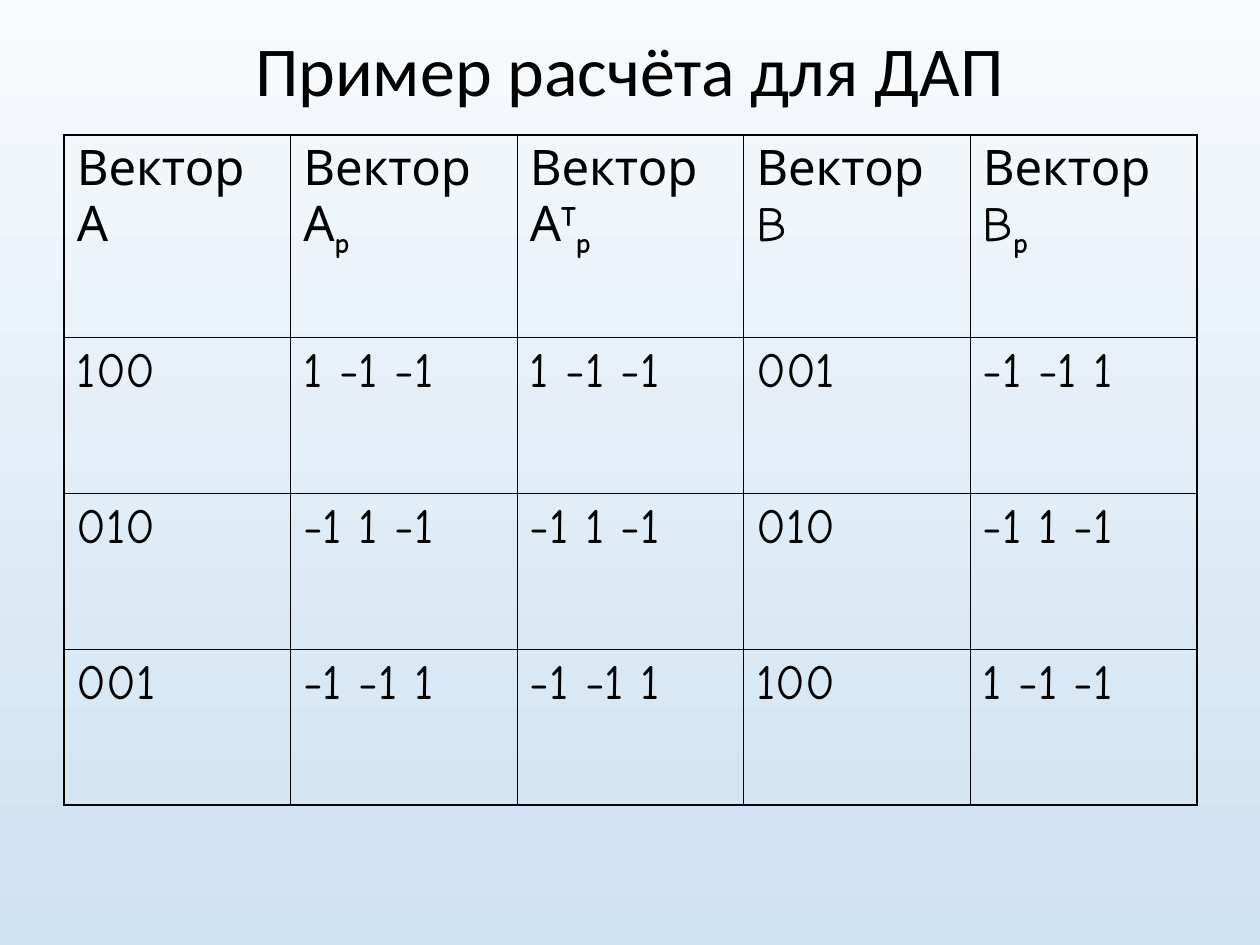
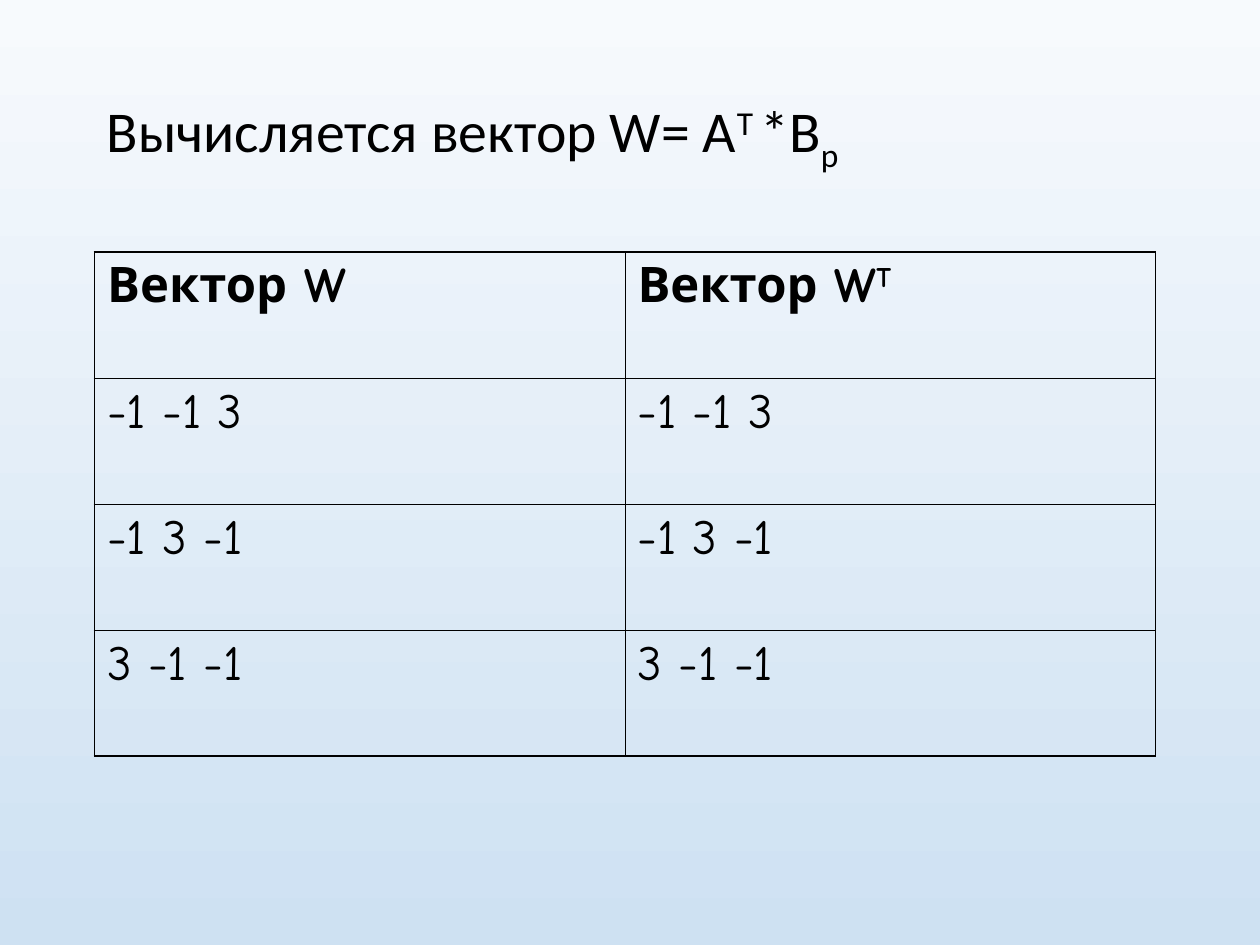
from collections import namedtuple

from lxml import etree
from pptx import Presentation
from pptx.dml.color import RGBColor
from pptx.enum.text import MSO_ANCHOR, PP_ALIGN
from pptx.oxml.ns import qn
from pptx.util import Inches, Pt

# Shared look
COLORS = {"text": "000000", "border": "000000", "sky_top": "F7FAFD", "sky_bottom": "CEE1F2"}
TITLE_FONT, TABLE_FONT = "Calibri", "Comic Neue"
TABLE_SIZE = 28
OUTER_LINE, INNER_LINE = 1.08, 0.45
SUPER, SUB = 30, -25

# Slide grid: 100 columns by 75 rows
SLIDE_WIDTH, SLIDE_HEIGHT = Inches(10), Inches(7.5)
COLUMN, ROW = SLIDE_WIDTH / 100, SLIDE_HEIGHT / 75

Box = namedtuple("Box", "left top width height")
Piece = namedtuple("Piece", "text baseline bold", defaults=(0, False))


def place(box):
    return (round(box.left * COLUMN), round(box.top * ROW),
            round(box.width * COLUMN), round(box.height * ROW))


def add_runs(paragraph, pieces, font_name, size):
    for piece in pieces:
        run = paragraph.add_run()
        run.text = piece.text
        run.font.name, run.font.size, run.font.bold = font_name, Pt(size), piece.bold
        run.font.color.rgb = RGBColor.from_string(COLORS["text"])
        if piece.baseline:
            run._r.get_or_add_rPr().set("baseline", str(piece.baseline * 1000))


def add_background(slide):
    fill = slide.background.fill
    fill.gradient()
    fill.gradient_angle = 270
    for stop, name in zip(fill.gradient_stops, ("sky_top", "sky_bottom")):
        stop.color.rgb = RGBColor.from_string(COLORS[name])


def add_title(slide, box, pieces, size, alignment):
    frame = slide.shapes.add_textbox(*place(box)).text_frame
    frame.word_wrap = True
    frame.vertical_anchor = MSO_ANCHOR.MIDDLE
    paragraph = frame.paragraphs[0]
    paragraph.alignment = alignment
    paragraph.line_spacing = 0.9
    add_runs(paragraph, pieces, TITLE_FONT, size)


def set_borders(cell, outer_sides):
    """Draw the four cell edges, thicker along the rim of the table."""
    properties = cell._tc.get_or_add_tcPr()
    for position, side in enumerate("LRTB"):
        width = OUTER_LINE if side in outer_sides else INNER_LINE
        line = etree.Element(qn(f"a:ln{side}"), w=str(Pt(width)))
        fill = etree.SubElement(line, qn("a:solidFill"))
        etree.SubElement(fill, qn("a:srgbClr"), val=COLORS["border"])
        properties.insert(position, line)


def add_vector_table(slide, box, headers, values, header_share=1):
    """Equal columns and value rows; the header row is header_share rows high."""
    rows = headers, *([[Piece(text)] for text in line] for line in values)
    last_row, last_column = len(values), len(headers) - 1
    left, top, width, height = place(box)
    table = slide.shapes.add_table(len(rows), len(headers), left, top, width, height).table
    table.first_row = table.horz_banding = False

    row_height = height / (header_share + len(values))
    for column in table.columns:
        column.width = round(width / len(headers))
    for index, row in enumerate(table.rows):
        row.height = round(row_height * (1 if index else header_share))

    for y, line in enumerate(rows):
        for x, pieces in enumerate(line):
            cell = table.cell(y, x)
            cell.fill.background()
            edges = {"L": x == 0, "R": x == last_column, "T": y == 0, "B": y == last_row}
            set_borders(cell, [side for side, outer in edges.items() if outer])
            add_runs(cell.text_frame.paragraphs[0], pieces, TABLE_FONT, TABLE_SIZE)


def add_slide(presentation):
    slide = presentation.slides.add_slide(presentation.slide_layouts[6])
    add_background(slide)
    return slide


def build_example_slide(presentation):
    slide = add_slide(presentation)
    add_title(slide, Box(2.7, 1.7, 94.5, 8.3), [Piece("Пример расчёта для ДАП")],
              40, PP_ALIGN.CENTER)
    vector_a, vector_b = Piece("Вектор А"), Piece("Вектор B")
    polar = Piece("p", SUB, True)
    headers = [[vector_a], [vector_a, polar], [vector_a, Piece("T", SUPER, True), polar],
               [vector_b], [vector_b, polar]]
    values = [
        ("100", "1 -1 -1", "1 -1 -1", "001", "-1 -1 1"),
        ("010", "-1 1 -1", "-1 1 -1", "010", "-1 1 -1"),
        ("001", "-1 -1 1", "-1 -1 1", "100", "1 -1 -1"),
    ]
    add_vector_table(slide, Box(5.1, 10.7, 89.9, 53.2), headers, values, header_share=1.3)


def build_product_slide(presentation):
    slide = add_slide(presentation)
    formula = [Piece("Вычисляется вектор W= А"), Piece("T ", SUPER),
               Piece("*B"), Piece("p", SUB)]
    add_title(slide, Box(7.5, 1.7, 75.1, 17.5), formula, 33, PP_ALIGN.LEFT)
    vector_w = Piece("Вектор W", bold=True)
    headers = [[vector_w], [vector_w, Piece("T", SUPER, True)]]
    values = [(text, text) for text in ("-1 -1 3", "-1 3 -1", "3 -1 -1")]
    add_vector_table(slide, Box(7.5, 20, 84.2, 40), headers, values)


def main():
    presentation = Presentation()
    presentation.slide_width, presentation.slide_height = SLIDE_WIDTH, SLIDE_HEIGHT
    build_example_slide(presentation)
    build_product_slide(presentation)
    presentation.save("out.pptx")


if __name__ == "__main__":
    main()
